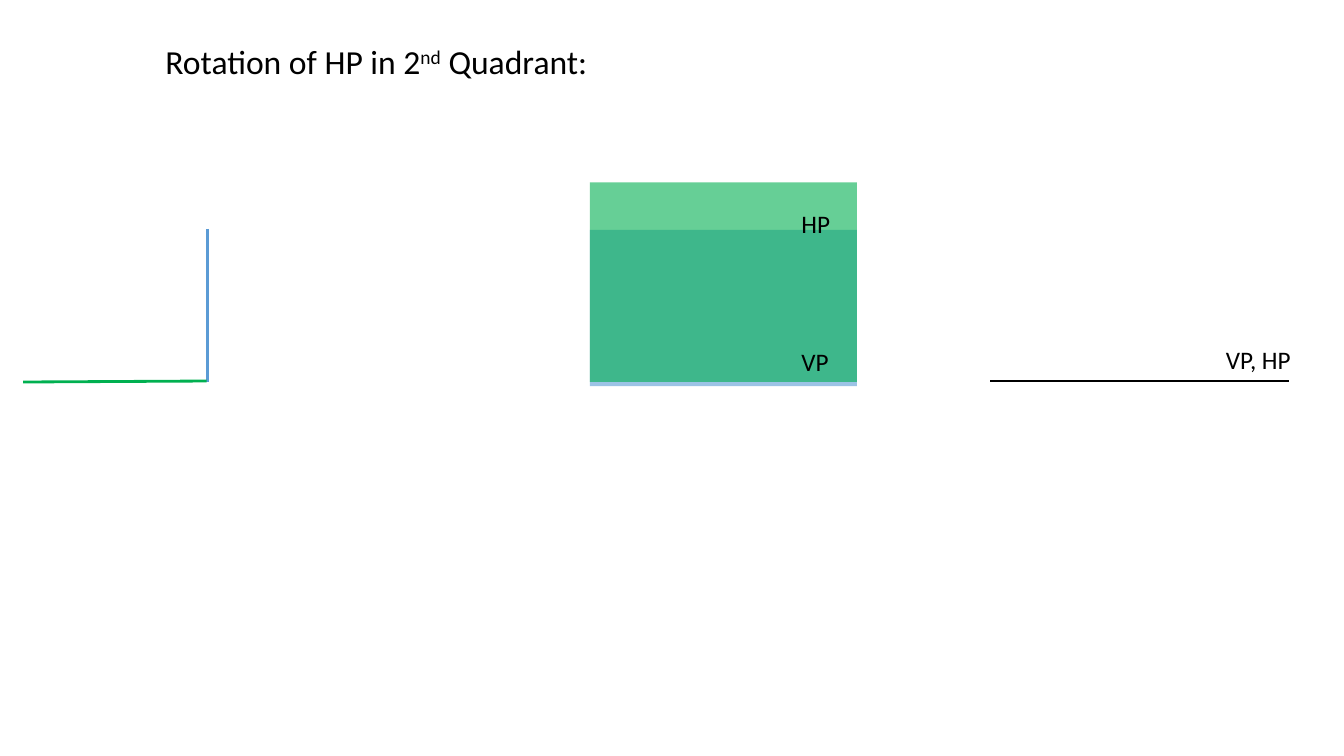
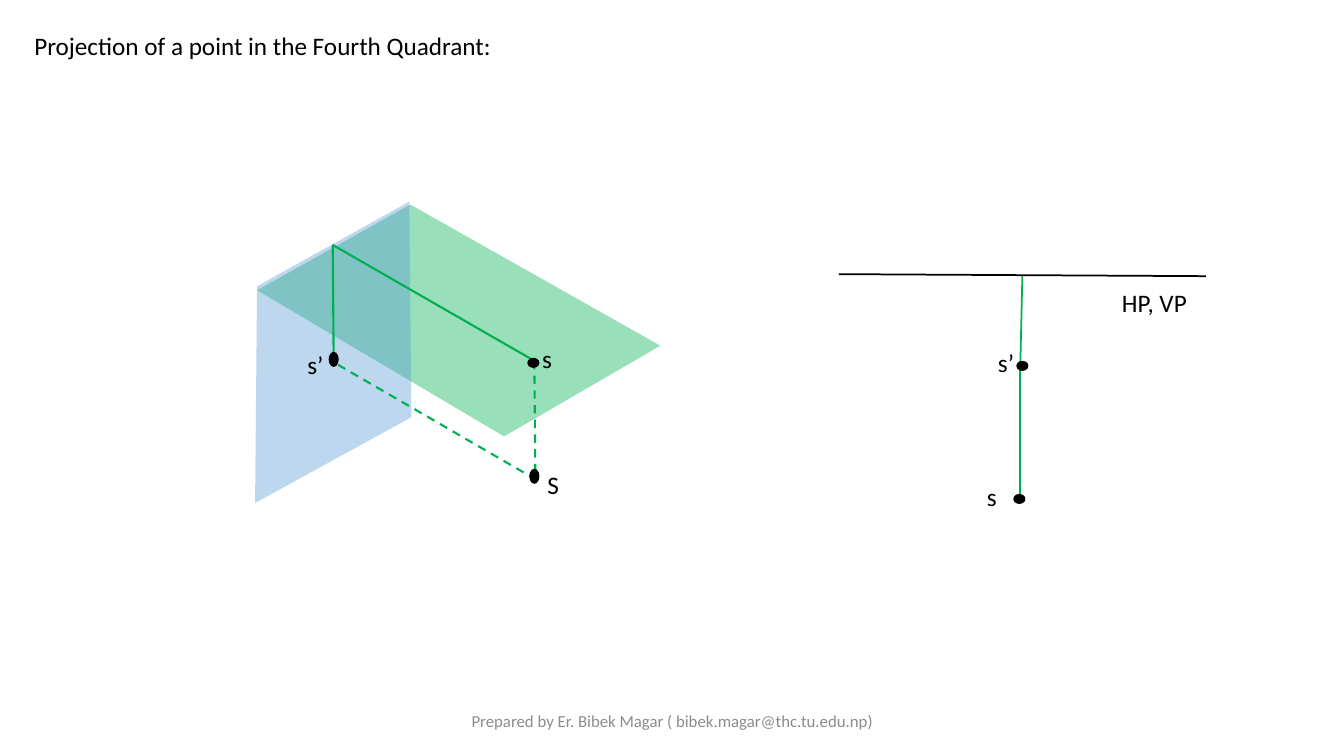
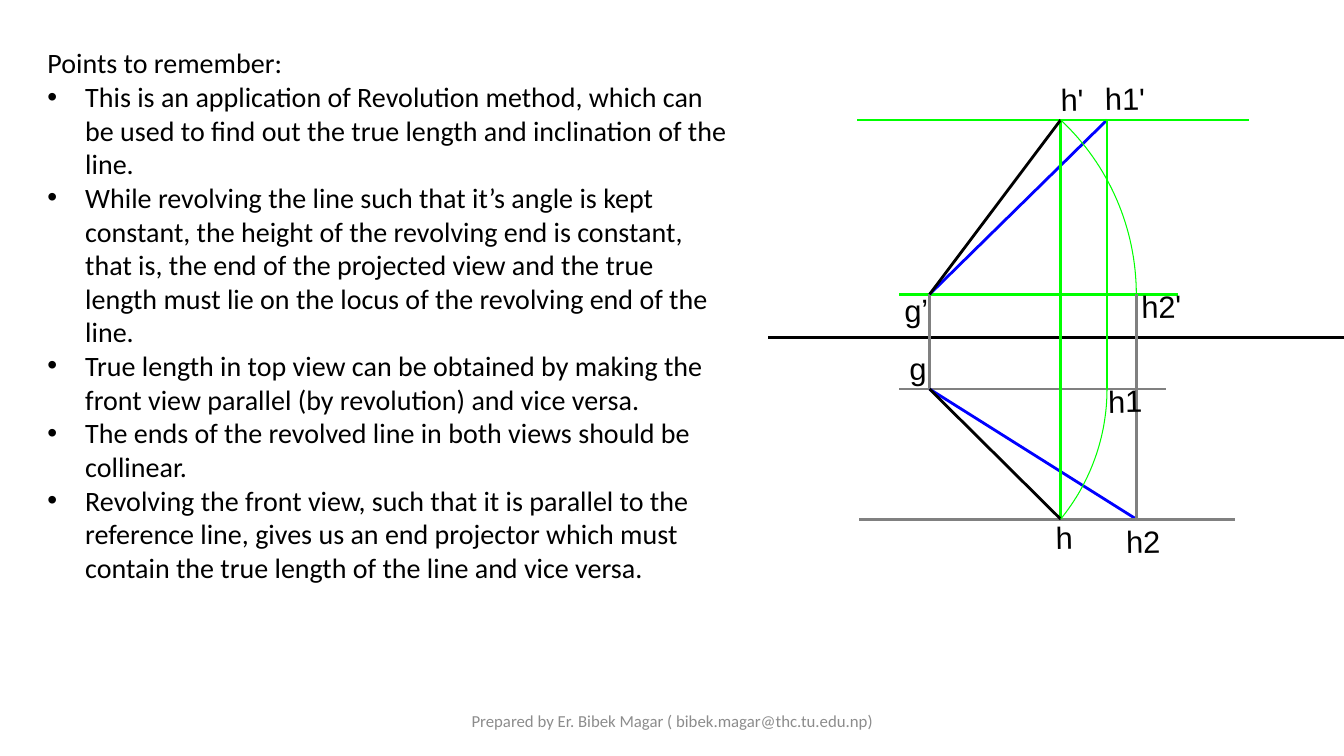
from math import atan2, cos, sin

from lxml import etree
from pptx import Presentation
from pptx.dml.color import RGBColor
from pptx.enum.dml import MSO_LINE_DASH_STYLE as Dash
from pptx.enum.shapes import MSO_CONNECTOR_TYPE as Connector, MSO_SHAPE as Preset
from pptx.enum.text import MSO_ANCHOR as Anchor, MSO_AUTO_SIZE as AutoSize, PP_ALIGN as Align
from pptx.oxml.ns import qn
from pptx.util import Pt

# Shared look: 100 px to the inch
PX = 9144
WIDTH, HEIGHT = 1333, 750
BLACK, GREY, MUTED = "000000", "808080", "8C8C8C"
GREEN, BLUE = "00B050", "5B9BD5"
LIME, DEEP_BLUE = "00FF00", "0000FF"
TITLE_ONLY, TITLE_AND_BODY = 5, 1
FOOTER = "Prepared by Er. Bibek Magar ( bibek.magar@thc.tu.edu.np)"

# Slide 1: a tuple of runs alternates plain and raised text
ROTATION_TITLE = ("Rotation of HP in 2", "nd", " Quadrant:")
ROTATION_PLANES = [  # box, colour
    ((585, 228, 265, 155), BLUE),
    ((585, 181, 265, 198), GREEN),
]
ROTATION_LINES = [  # start, end, colour, points
    ((206, 227), (206, 379), BLUE, 2),
    ((205, 378), (23, 379), GREEN, 2),
    ((982, 378), (1278, 378), BLACK, 1.5),
]
ROTATION_LABELS = [("VP, HP", 1206, 337), ("VP", 785, 339), ("HP", 785, 202)]

# Slide 2
FOURTH_TITLE = "Projection of a point in the Fourth Quadrant:"
FOURTH_PLANES = [  # corners, colour
    ([(255, 288), (407, 203), (655, 343), (500, 433)], GREEN),
    ([(255, 284), (406, 200), (408, 414), (253, 499)], BLUE),
]
FOURTH_LINES = [  # start, end, colour, points, dash
    ((530, 358), (531, 478), GREEN, 1.5, Dash.DASH),
    ((330, 243), (331, 362), GREEN, 1.5, None),
    ((530, 358), (330, 243), GREEN, 1.5, None),
    ((532, 476), (332, 360), GREEN, 1.5, Dash.DASH),
    ((832, 272), (1196, 274), BLACK, 1.25, None),
    ((1014, 274), (1012, 362), GREEN, 1.25, None),
    ((1012, 360), (1012, 495), GREEN, 1.25, None),
]
TALL_DOT, WIDE_DOT = (10, 15), (12, 10)
FOURTH_DOTS = [
    ((525, 465), TALL_DOT), ((326, 349), TALL_DOT), ((523, 355), WIDE_DOT),
    ((1008, 358), WIDE_DOT), ((1005, 490), WIDE_DOT),
]
FOURTH_LABELS = [
    ("S", 533, 461), ("HP, VP", 1103, 280), ("s’", 980, 340),
    ("s", 969, 473), ("s", 528, 336), ("s’", 295, 342),
]

# Slide 3
POINTS_TITLE = "Points to remember:"
POINTS = [
    "This is an application of Revolution method, which can be used to find out "
    "the true length and inclination of the line.",
    "While revolving the line such that it’s angle is kept constant, the height of "
    "the revolving end is constant, that is, the end of the projected view and the "
    "true length must lie on the locus of the revolving end of the line.",
    "True length in top view can be obtained by making the front view parallel "
    "(by revolution) and vice versa.",
    "The ends of the revolved line in both views should be collinear.",
    "Revolving the front view, such that it is parallel to the reference line, gives "
    "us an end projector which must contain the true length of the line and vice versa.",
]
# Levels and projectors of the two views
TOP, FRONT, REFERENCE, PLAN, BOTTOM = 119, 292, 335, 386, 515
G, H, H1, H2 = 922, 1052, 1098, 1127
VIEW_LINES = [  # start, end, colour
    ((762, REFERENCE), (WIDTH, REFERENCE), BLACK),
    ((892, PLAN), (1156, PLAN), GREY),
    ((892, FRONT), (1168, FRONT), LIME),
    ((G, FRONT), (G, PLAN), GREY),
    ((G, FRONT), (H1, TOP), DEEP_BLUE),
    ((H1, TOP), (H1, PLAN), LIME),
    ((850, TOP), (1239, TOP), LIME),
    ((G, PLAN), (H2, BOTTOM), DEEP_BLUE),
    ((H2, BOTTOM), (H2, FRONT), GREY),
    ((852, BOTTOM), (1225, BOTTOM), GREY),
    ((H, BOTTOM), (H, TOP), LIME),
    ((G, FRONT), (H, TOP), BLACK),
    ((G, PLAN), (H, BOTTOM), BLACK),
]
VIEW_ARCS = [((H2, FRONT), (H, TOP)), ((H1, PLAN), (H, BOTTOM))]
VIEW_LABELS = [  # text, left, top, width
    ("g’", 897, 289, 24), ("g", 902, 347, 28), ("h'", 1052, 80, 33),
    ("h1'", 1096, 79, 49), ("h1", 1099, 379, 44), ("h2'", 1132, 285, 49),
    ("h", 1047, 514, 28), ("h2", 1117, 518, 44),
]


def px(*lengths):
    return [round(length * PX) for length in lengths]


def rgb(color):
    return RGBColor.from_string(color)


def write(shape, *paragraphs, size=18, font="Calibri", color=BLACK, align=Align.LEFT,
          anchor=Anchor.TOP, wrap=True, inset=None):
    frame = shape.text_frame
    frame.auto_size = AutoSize.NONE
    frame.word_wrap = wrap
    frame.vertical_anchor = anchor
    if inset is not None:
        frame.margin_left = frame.margin_right = inset
        frame.margin_top = frame.margin_bottom = inset
    for index, content in enumerate(paragraphs):
        paragraph = frame.add_paragraph() if index else frame.paragraphs[0]
        paragraph.alignment = align
        paragraph.space_before = Pt(0)
        runs = (content,) if isinstance(content, str) else content
        for position, text in enumerate(runs):
            run = paragraph.add_run()
            run.text = text
            run.font.size = Pt(size)
            run.font.name = font
            run.font.color.rgb = rgb(color)
            if position % 2:
                run.font._element.set("baseline", "30000")


def add_text(slide, text, box, **style):
    shape = slide.shapes.add_textbox(*px(*box))
    write(shape, text, **style)
    return shape


def add_slide(presentation, layout, title, box, size):
    slide = presentation.slides.add_slide(presentation.slide_layouts[layout])
    place(slide.shapes.title, box)
    write(slide.shapes.title, title, size=size)
    return slide


def place(shape, box):
    shape.left, shape.top, shape.width, shape.height = px(*box)


def add_footer(slide):
    add_text(slide, FOOTER, (442, 695, 450, 40), size=12, color=MUTED,
             align=Align.CENTER, anchor=Anchor.MIDDLE)


def add_line(slide, start, end, color, points=0, dash=None):
    connector = slide.shapes.add_connector(Connector.STRAIGHT, *px(*start, *end))
    connector.line.color.rgb = rgb(color)
    connector.line.width = Pt(points)
    if dash:
        connector.line.dash_style = dash
    etree.SubElement(connector._element.spPr, qn("a:effectLst"))


def paint(shape, color, opacity=100):
    shape.shadow.inherit = False
    shape.fill.solid()
    shape.fill.fore_color.rgb = rgb(color)
    shape.line.fill.background()
    if opacity < 100:
        solid = shape._element.spPr.find(qn("a:solidFill"))
        etree.SubElement(solid[0], qn("a:alpha"), val=str(opacity * 1000))


def add_outline(slide, points, close):
    first, *rest = [px(*point) for point in points]
    builder = slide.shapes.build_freeform(*first)
    builder.add_line_segments(rest, close=close)
    return builder.convert_to_shape()


def add_arc(slide, start, end, steps=32):
    """Circular arc that leaves its start vertically and reaches its end."""
    (x, y), (end_x, end_y) = start, end
    run, rise = x - end_x, end_y - y
    radius = (run ** 2 + rise ** 2) / (2 * run)
    center = x - radius
    sweep = atan2(rise, end_x - center)
    angles = [sweep * step / steps for step in range(steps + 1)]
    arc = add_outline(slide, [(center + radius * cos(a), y + radius * sin(a))
                              for a in angles], close=False)
    arc.shadow.inherit = False
    arc.fill.background()
    arc.line.color.rgb = rgb(LIME)
    arc.line.width = Pt(0)


def add_labels(slide, labels):
    for text, left, top in labels:
        add_text(slide, text, (left, top, 100, 40))


def build_rotation(presentation):
    slide = add_slide(presentation, TITLE_ONLY, ROTATION_TITLE, (154, 36, 562, 50), 24)
    for box, color in ROTATION_PLANES:
        paint(slide.shapes.add_shape(Preset.RECTANGLE, *px(*box)), color, opacity=60)
    for line in ROTATION_LINES:
        add_line(slide, *line)
    add_labels(slide, ROTATION_LABELS)


def build_fourth_quadrant(presentation):
    slide = add_slide(presentation, TITLE_ONLY, FOURTH_TITLE, (24, 25, 507, 40), 18)
    add_footer(slide)
    for corners, color in FOURTH_PLANES:
        paint(add_outline(slide, corners, close=True), color, opacity=40)
    for line in FOURTH_LINES:
        add_line(slide, *line)
    for corner, size in FOURTH_DOTS:
        paint(slide.shapes.add_shape(Preset.OVAL, *px(*corner, *size)), BLACK)
    add_labels(slide, FOURTH_LABELS)


def build_points(presentation):
    slide = add_slide(presentation, TITLE_AND_BODY, POINTS_TITLE, (37, 40, 698, 40), 20)
    body = slide.placeholders[1]
    place(body, (37, 74, 698, 582))
    write(body, *POINTS, size=20)
    add_footer(slide)
    for line in VIEW_LINES:
        add_line(slide, *line)
    for start, end in VIEW_ARCS:
        add_arc(slide, start, end)
    for text, left, top, width in VIEW_LABELS:
        label = add_text(slide, text, (left, top, width, 41), size=22, font="Arial",
                         wrap=False, inset=0)
        label.rotation = 359


def main():
    presentation = Presentation()
    presentation.slide_width, presentation.slide_height = px(WIDTH, HEIGHT)
    build_rotation(presentation)
    build_fourth_quadrant(presentation)
    build_points(presentation)
    presentation.save("out.pptx")


if __name__ == "__main__":
    main()
